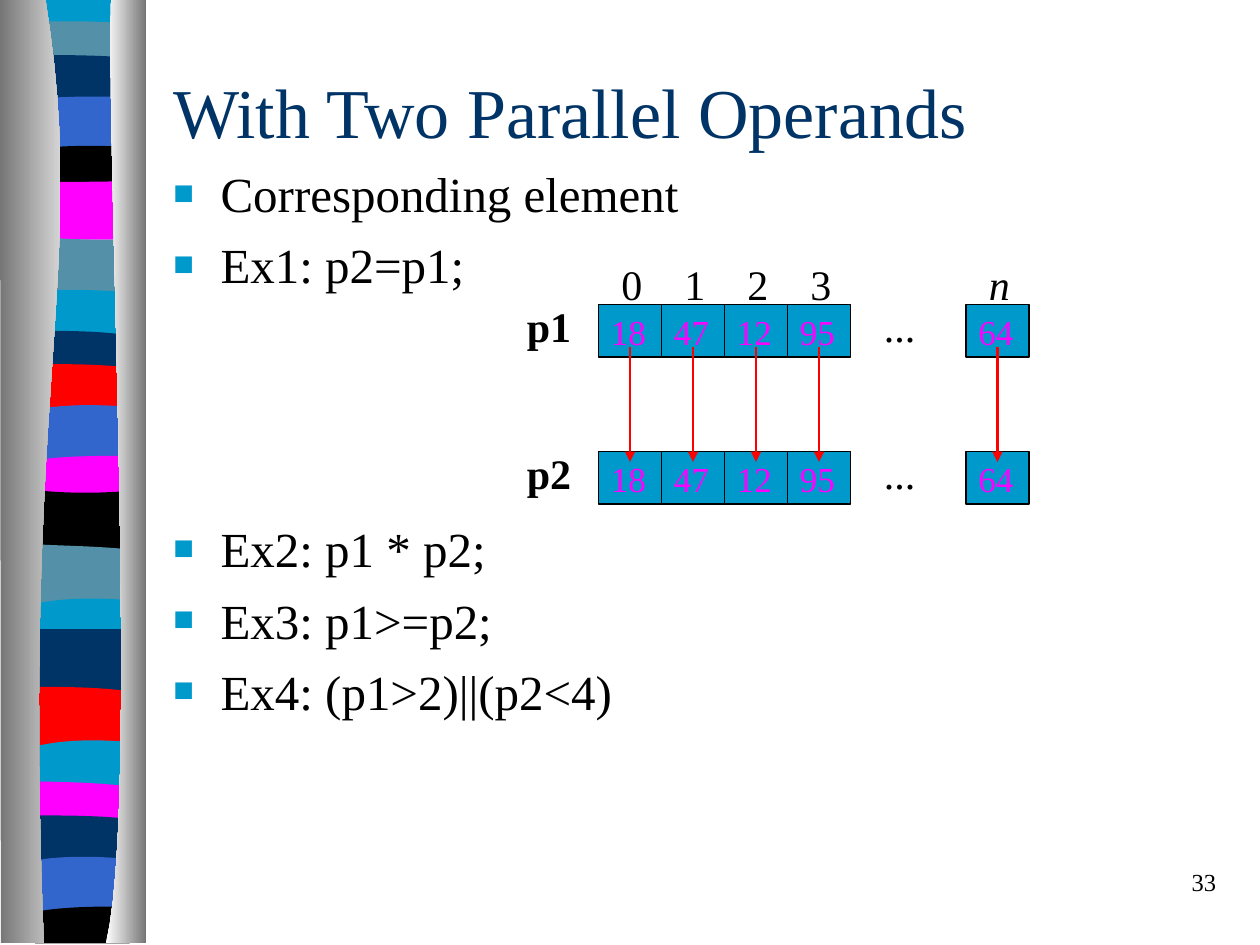
from dataclasses import dataclass
from lxml.etree import SubElement as Sub
from pptx import Presentation
from pptx.dml.color import RGBColor as Rgb
from pptx.enum.shapes import MSO_CONNECTOR as Link, MSO_SHAPE as Form
from pptx.enum.text import MSO_ANCHOR as Anchor, PP_ALIGN as Align
from pptx.oxml.ns import qn
from pptx.util import Pt

FACE = "Times New Roman"
HUES = {
    "sky": "0099CC", "teal": "5490A8", "navy": "003366", "blue": "3366CC",
    "black": "000000", "pink": "FF00FF", "red": "FF0000",
    "grey": "767676", "pale": "D5D5D5", "white": "FFFFFF",
}
Point = tuple[float, float]


@dataclass
class Band:
    hue: str
    left: float  # heights of the top edge
    mid: float
    right: float


@dataclass
class Label:
    text: str
    x: float
    y: float
    w: float
    h: float
    size: float
    hue: str = "black"
    bold: bool = False


@dataclass
class Row:
    name: str
    top: float


@dataclass
class Cell:
    text: str
    x: float


@dataclass
class Item:
    text: str
    gap: float


BANDS = [
    Band("sky", 0, 0, 0), Band("teal", 12.5, 12, 13.5),
    Band("navy", 31.5, 31.5, 33), Band("blue", 56.5, 55, 55.5),
    Band("black", 85, 83, 84), Band("pink", 104, 104, 103.5),
    Band("teal", 135, 137, 137), Band("sky", 166, 165.5, 167),
    Band("navy", 189, 189, 191.5), Band("red", 208, 208, 210),
    Band("blue", 234, 231, 232.5), Band("pink", 263, 260.5, 260.5),
    Band("black", 280, 282, 280.5), Band("teal", 311, 312, 314),
    Band("sky", 345, 341.5, 343), Band("navy", 359.5, 359.5, 359.5),
    Band("red", 392.5, 392.5, 395), Band("sky", 426.5, 422.5, 424),
    Band("pink", 446.5, 447, 449.5), Band("navy", 466, 466, 468),
    Band("blue", 491.5, 489, 491), Band("black", 521, 518, 518),
]
ROWS = [Row("p1", 174), Row("p2", 258)]
CELLS = [Cell(t, 342 + 36 * i) for i, t in enumerate(["18", "47", "12", "95"])]
CELLS.append(Cell("64", 552))
ITEMS = [
    Item("Corresponding element", 0), Item("Ex1: p2=p1;", 7),
    Item("Ex2: p1 * p2;", 128.8), Item("Ex3: p1>=p2;", 7),
    Item("Ex4: (p1>2)||(p2<4)", 7),
]
FOOT = 539


def tint(hue: str) -> Rgb:
    return Rgb.from_string(HUES[hue])


def curve(a: Point, b: Point, c: Point, d: Point, n: int = 24) -> list[Point]:
    """Points along a cubic Bezier."""
    out = []
    for i in range(n + 1):
        t = i / n
        u = 1 - t
        mix = (u**3, 3 * u * u * t, 3 * u * t * t, t**3)
        out.append(tuple(sum(m * p[k] for m, p in zip(mix, (a, b, c, d)))
                         for k in (0, 1)))
    return out


def area(shapes, points: list[Point]):
    spots = [(Pt(x), Pt(y)) for x, y in points]
    pen = shapes.build_freeform(*spots[0])
    pen.add_line_segments(spots[1:], close=True)
    shape = pen.convert_to_shape()
    shape.shadow.inherit = False
    shape.line.fill.background()
    return shape


def paint(shapes, band: Band, base: float) -> None:
    edge = curve((20, band.left), (37, band.mid), (55, band.mid),
                 (74, band.right), 12)
    shape = area(shapes, edge + [(74, base), (20, base)])
    shape.fill.solid()
    shape.fill.fore_color.rgb = tint(band.hue)


def drape(shapes, points: list[Point], hues: tuple[str, str]) -> None:
    fill = area(shapes, points).fill
    fill.gradient()
    fill.gradient_angle = 0
    for stop, hue, spot in zip(fill.gradient_stops, hues, (0, 1)):
        stop.color.rgb = tint(hue)
        stop.position = spot


def style(para, size: float, hue: str, bold: bool = False) -> None:
    for run in para.runs:
        font = run.font
        font.name, font.size, font.bold = FACE, Pt(size), bold
        font.color.rgb = tint(hue)


def write(shapes, label: Label):
    box = shapes.add_textbox(Pt(label.x), Pt(label.y), Pt(label.w), Pt(label.h))
    frame = box.text_frame
    frame.word_wrap = True
    frame.text = label.text
    style(frame.paragraphs[0], label.size, label.hue, label.bold)
    return frame


def bullet(para) -> None:
    props = para._p.get_or_add_pPr()
    props.set("marL", str(Pt(27)))
    props.set("indent", str(-Pt(27)))
    Sub(Sub(props, qn("a:buClr")), qn("a:srgbClr")).set("val", HUES["sky"])
    Sub(props, qn("a:buSzPct")).set("val", "70000")
    Sub(props, qn("a:buFont")).set("typeface", FACE)
    Sub(props, qn("a:buChar")).set("char", "■")


def box(shapes, cell: Cell, top: float) -> None:
    shape = shapes.add_shape(Form.RECTANGLE, Pt(cell.x), Pt(top), Pt(36), Pt(30))
    shape.shadow.inherit = False
    shape.fill.solid()
    shape.fill.fore_color.rgb = tint("sky")
    shape.line.color.rgb = tint("black")
    shape.line.width = Pt(0.75)
    frame = shape.text_frame
    frame.vertical_anchor = Anchor.TOP
    frame.text = cell.text
    frame.paragraphs[0].alignment = Align.LEFT
    style(frame.paragraphs[0], 20, "pink")


def arrow(shapes, x: float, top: float, end: float) -> None:
    link = shapes.add_connector(Link.STRAIGHT, Pt(x), Pt(top), Pt(x), Pt(end))
    link.line.color.rgb = tint("red")
    link.line.width = Pt(1.5)
    Sub(link.line._get_or_add_ln(), qn("a:tailEnd")).set("type", "triangle")
    Sub(link._element.spPr, qn("a:effectLst"))


def main() -> None:
    deck = Presentation()
    deck.slide_width, deck.slide_height = Pt(720), Pt(540)
    shapes = deck.slides.add_slide(deck.slide_layouts[6]).shapes

    # Striped border between two shaded drapes
    for band, after in zip(BANDS, BANDS[1:] + [Band("white", FOOT, FOOT, FOOT)]):
        paint(shapes, band, max(after.left, after.mid, after.right))
    left = curve((26, 0), (51, 155.5), (12, 213), (25, FOOT))
    drape(shapes, left + [(0.5, FOOT), (0, 0)], ("grey", "pale"))
    right = curve((63.5, 0), (60.5, 90), (80, 465), (60.5, FOOT))
    drape(shapes, right + [(83.5, FOOT), (83.5, 0)], ("white", "grey"))

    # Title
    title = Label("With Two Parallel Operands", 92, 36, 612, 54, 40, "navy")
    write(shapes, title).vertical_anchor = Anchor.MIDDLE

    # Bullet list, with room for the arrays
    frame = write(shapes, Label("", 92, 90, 612, 390, 28))
    for i, item in enumerate(ITEMS):
        para = frame.add_paragraph() if i else frame.paragraphs[0]
        para.text = item.text
        bullet(para)
        para.space_before = Pt(item.gap)
        style(para, 28, "black")

    # Index numbers on tab stops
    para = write(shapes, Label("0\t1\t2\t3\t", 348, 144, 282, 36, 24)).paragraphs[0]
    tabs = Sub(para._p.get_or_add_pPr(), qn("a:tabLst"))
    for stop in (36, 72, 108, 210):
        tab = Sub(tabs, qn("a:tab"))
        tab.set("pos", str(Pt(stop)))
        tab.set("algn", "l")
    para.add_run().text = "n"
    style(para, 24, "black")
    para.runs[-1].font.italic = True

    # The two arrays
    for row in ROWS:
        for cell in CELLS:
            box(shapes, cell, row.top)
        write(shapes, Label(row.name, 294, row.top - 6, 42, 36, 24, bold=True))
        write(shapes, Label("...", 498, row.top - 6, 48, 36, 24))
    for cell in CELLS:
        arrow(shapes, cell.x + 18, ROWS[0].top + 24, ROWS[1].top + 6)

    # Page number
    page = write(shapes, Label("33", 552, 492, 150, 36, 14))
    page.paragraphs[0].alignment = Align.RIGHT

    deck.save("out.pptx")


if __name__ == "__main__":
    main()
